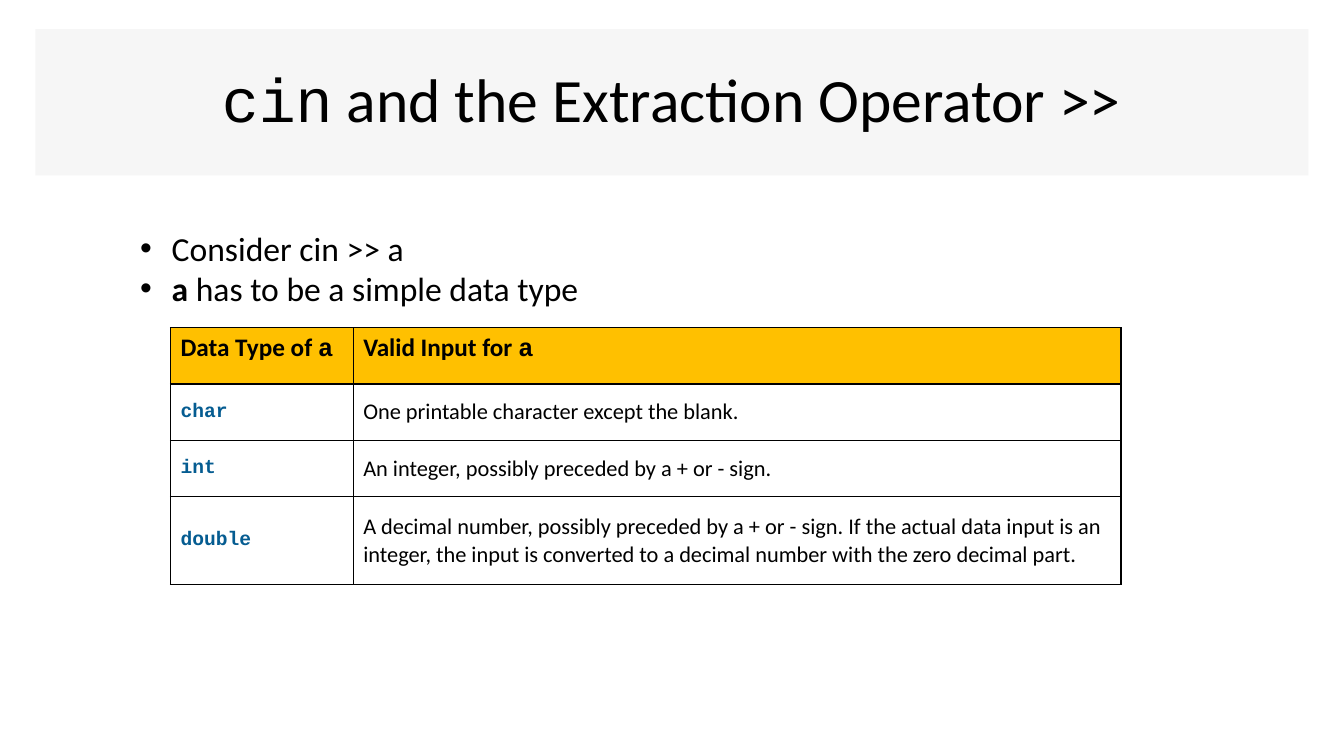
from typing import NamedTuple

from lxml import etree
from pptx import Presentation
from pptx.dml import color
from pptx.enum import text
from pptx.oxml import ns
from pptx.util import Pt

BLACK = color.RGBColor(0, 0, 0)
WHITE = color.RGBColor(255, 255, 255)
GREY = color.RGBColor(0xE7, 0xE6, 0xE6)
GOLD = color.RGBColor(0xFF, 0xC0, 0x00)
BLUE = color.RGBColor(0x05, 0x5C, 0x91)
SANS, MONO = "Calibri", "Courier New"


class Run(NamedTuple):
    words: str
    size: float
    face: str = SANS
    bold: bool = False
    ink: color.RGBColor = BLACK


class Cell(NamedTuple):
    runs: list[Run]
    fill: color.RGBColor = WHITE
    anchor: text.MSO_ANCHOR = text.MSO_ANCHOR.MIDDLE


def sub(node, tag: str, **attrs: str):
    return etree.SubElement(node, ns.qn(tag), attrs)


def write(para, runs: list[Run]) -> None:
    for item in runs:
        run = para.add_run()
        run.text = item.words
        font = run.font
        font.size, font.name, font.bold = Pt(item.size), item.face, item.bold
        font.color.rgb = item.ink


def place(shape, left: float, top: float, width: float, height: float) -> None:
    shape.left, shape.top = Pt(left), Pt(top)
    shape.width, shape.height = Pt(width), Pt(height)


def bullet(para) -> None:
    props = para._p.get_or_add_pPr()
    props.set("marL", str(Pt(22.5)))
    props.set("indent", str(Pt(-22.5)))
    sub(props, "a:buFont", typeface="Arial")
    sub(props, "a:buChar", char="•")


def border(cell) -> None:
    props = cell._tc.get_or_add_tcPr()
    for side in "LRTB":
        line = sub(props, f"a:ln{side}", w=str(Pt(1)))
        sub(sub(line, "a:solidFill"), "a:srgbClr", val=str(BLACK))


def draw(cell, data: Cell) -> None:
    border(cell)
    cell.fill.solid()
    cell.fill.fore_color.rgb = data.fill
    cell.vertical_anchor = data.anchor
    write(cell.text_frame.paragraphs[0], data.runs)


def head(words: str) -> Cell:
    runs = [Run(words, 18, bold=True), Run("a", 18, MONO, True)]
    return Cell(runs, GOLD, text.MSO_ANCHOR.TOP)


deck = Presentation()
deck.slide_width, deck.slide_height = Pt(960), Pt(540)
slide = deck.slides.add_slide(deck.slide_layouts[1])

# Title band
title = slide.shapes.title
place(title, 25.2, 20.9, 909.4, 104.4)
title.fill.solid()
title.fill.fore_color.rgb = GREY
tint = title._element.spPr.find(".//" + ns.qn("a:srgbClr"))
sub(tint, "a:alpha", val="35000")
frame = title.text_frame
frame.auto_size = text.MSO_AUTO_SIZE.NONE
frame.vertical_anchor = text.MSO_ANCHOR.MIDDLE
para = frame.paragraphs[0]
para.alignment, para.line_spacing = text.PP_ALIGN.CENTER, 0.9
write(para, [Run("cin", 44, MONO), Run(" and the Extraction Operator >>", 44)])

# Bullet list
body = slide.placeholders[1]
place(body, 92.9, 159.1, 472.3, 65.5)
frame = body.text_frame
frame.word_wrap = True
frame.auto_size = text.MSO_AUTO_SIZE.SHAPE_TO_FIT_TEXT
points = [
    [Run("Consider cin >> a", 24)],
    [Run("a", 24, bold=True), Run(" has to be a simple data type", 24)],
]
for i, runs in enumerate(points):
    para = frame.add_paragraph() if i else frame.paragraphs[0]
    para.space_before, para.line_spacing = Pt(0), 1.0
    bullet(para)
    write(para, runs)

# Table of valid inputs
inputs = {
    "char": "One printable character except the blank.",
    "int": "An integer, possibly preceded by a + or - sign.",
    "double": "A decimal number, possibly preceded by a + or - sign. "
    "If the actual data input is an integer, the input is converted "
    "to a decimal number with the zero decimal part.",
}
rows = [[head("Data Type of "), head("Valid Input for ")]]
for kind, rule in inputs.items():
    rows.append([Cell([Run(kind, 14, MONO, True, BLUE)]), Cell([Run(rule, 16)])])

widths, heights = [130.5, 548.5], [40.3, 40.3, 40.3, 62.7]
grid = slide.shapes.add_table(
    len(rows), len(widths), Pt(121.8), Pt(234), Pt(sum(widths)), Pt(sum(heights))
).table
grid.first_row = grid.horz_banding = False
for col, width in zip(grid.columns, widths):
    col.width = Pt(width)
for r, (row, height) in enumerate(zip(rows, heights)):
    grid.rows[r].height = Pt(height)
    for c, data in enumerate(row):
        draw(grid.cell(r, c), data)

deck.save("out.pptx")
